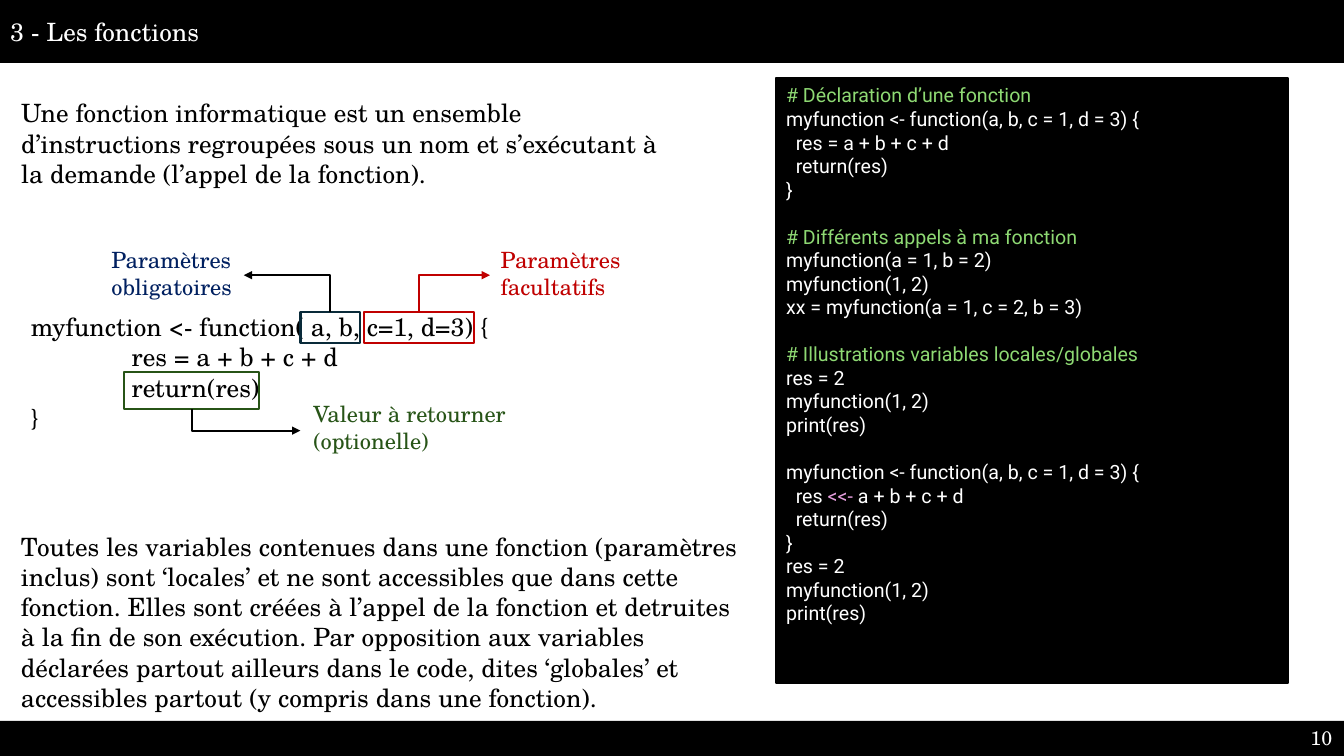
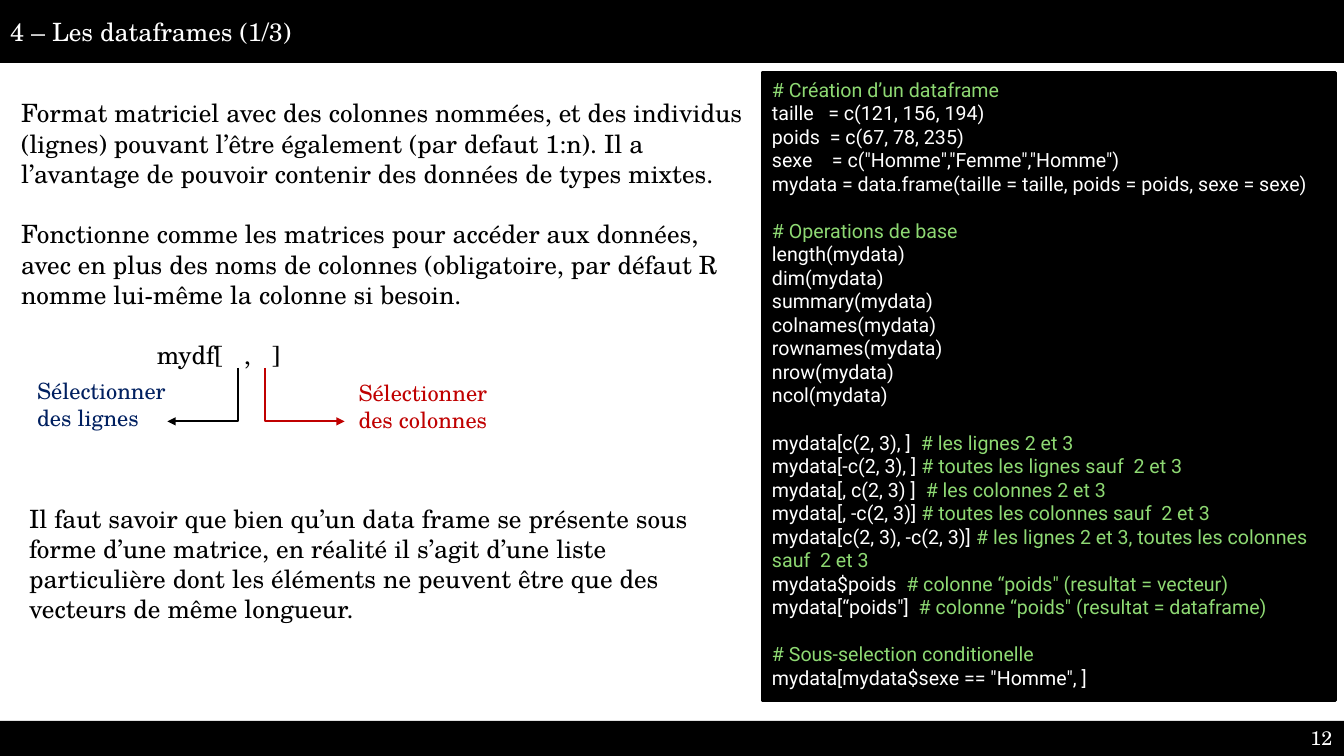
from dataclasses import dataclass

from pptx import Presentation
from pptx.dml.color import RGBColor
from pptx.enum import shapes, text
from pptx.oxml import ns
from pptx.util import Pt
from lxml import etree

COLORS = {
    "black": "000000",
    "white": "FFFFFF",
    "comment": "8ED973",
    "operator": "E59EDD",
    "navy": "002060",
    "red": "C00000",
    "green": "275417",
    "teal": "092A39",
}
SERIF, SANS = "TeX Gyre Schola", "Roboto"
WIDTH, HEIGHT = 960, 540
TITLE_HEIGHT, FOOTER_HEIGHT = 45, 25
BODY_SIZE, NOTE_SIZE, CODE_SIZE = 18, 16, 14
BODY_GAP, CODE_GAP = 21.6, 16.8
LINE_WIDTH = 1.5


@dataclass(frozen=True)
class Box:
    left: float
    top: float
    width: float
    height: float

    def lengths(self) -> tuple[Pt, ...]:
        return Pt(self.left), Pt(self.top), Pt(self.width), Pt(self.height)


@dataclass(frozen=True)
class Span:
    text: str
    color: str


@dataclass(frozen=True)
class Para:
    text: str
    indent: float = 0
    before: float = 0


@dataclass(frozen=True)
class Note:
    text: str
    color: str
    box: Box


@dataclass(frozen=True)
class Frame:
    color: str
    box: Box


@dataclass(frozen=True)
class Arrow:
    color: str
    start: tuple[float, float]
    end: tuple[float, float]


@dataclass(frozen=True)
class Lesson:
    title: str
    number: str
    body: list[Para]
    body_box: Box
    code: list[str]
    code_box: Box
    texts: list[tuple[Box, list[Para]]]
    notes: list[Note]
    arrows: list[Arrow]
    frames: list[Frame]


def rgb(color: str) -> RGBColor:
    return RGBColor.from_string(COLORS[color])


def code_spans(line: str, color: str) -> list[Span]:
    """Colour the comment and the global assignment in a line of code."""
    code, mark, comment = line.partition("#")
    before, operator, after = code.partition("<<-")
    spans = [Span(before, color), Span(operator, "operator"), Span(after, color),
             Span(mark + comment, "comment")]
    return [span for span in spans if span.text]


def write(frame, paras: list[Para], *, size: float = BODY_SIZE, font: str = SERIF,
          color: str = "black", anchor=text.MSO_ANCHOR.TOP, is_code: bool = False) -> None:
    frame.word_wrap = True
    frame.auto_size = text.MSO_AUTO_SIZE.NONE
    frame.vertical_anchor = anchor
    for index, para in enumerate(paras):
        line = frame.add_paragraph() if index else frame.paragraphs[0]
        line.alignment = text.PP_ALIGN.LEFT
        line.space_before = Pt(para.before)
        properties = line._p.get_or_add_pPr()
        properties.set("marL", str(Pt(para.indent)))
        properties.set("indent", "0")
        etree.SubElement(properties, ns.qn("a:buNone"))
        spans = code_spans(para.text, color) if is_code else [Span(para.text, color)]
        for span in spans:
            run = line.add_run()
            run.text = span.text
            run.font.size = Pt(size)
            run.font.name = font
            run.font.color.rgb = rgb(span.color)


def add_text(page, box: Box, paras: list[Para], **style):
    shape = page.shapes.add_textbox(*box.lengths())
    write(shape.text_frame, paras, **style)
    return shape


def add_rectangle(page, box: Box, *, fill: str | None = None, line: str | None = None):
    shape = page.shapes.add_shape(shapes.MSO_SHAPE.RECTANGLE, *box.lengths())
    shape.shadow.inherit = False
    if fill:
        shape.fill.solid()
        shape.fill.fore_color.rgb = rgb(fill)
    else:
        shape.fill.background()
    if line:
        shape.line.color.rgb = rgb(line)
        shape.line.width = Pt(LINE_WIDTH)
    else:
        shape.line.fill.background()
    return shape


def add_arrow(page, arrow: Arrow) -> None:
    """Draw an elbow that runs vertically first, then horizontally to its head."""
    points = [Pt(value) for value in (*arrow.start, *arrow.end)]
    connector = page.shapes.add_connector(shapes.MSO_CONNECTOR.ELBOW, *points)
    connector.line.color.rgb = rgb(arrow.color)
    connector.line.width = Pt(LINE_WIDTH)
    properties = connector._element.spPr
    adjustments = properties.find(ns.qn("a:prstGeom")).get_or_add_avLst()
    etree.SubElement(adjustments, ns.qn("a:gd"), name="adj1", fmla="val 0")
    etree.SubElement(properties.find(ns.qn("a:ln")), ns.qn("a:tailEnd"), type="triangle")
    etree.SubElement(properties, ns.qn("a:effectLst"))


def place(placeholder, box: Box) -> None:
    placeholder.left, placeholder.top, placeholder.width, placeholder.height = box.lengths()


def add_bands(page, title: str, number: str) -> None:
    heading = page.shapes.title
    place(heading, Box(0, 0, WIDTH, TITLE_HEIGHT))
    heading.fill.solid()
    heading.fill.fore_color.rgb = rgb("black")
    write(heading.text_frame, [Para(title)], color="white", anchor=text.MSO_ANCHOR.MIDDLE)
    footer_top = HEIGHT - FOOTER_HEIGHT
    add_rectangle(page, Box(0, footer_top, WIDTH, FOOTER_HEIGHT), fill="black")
    label = add_text(page, Box(929, footer_top, 31, FOOTER_HEIGHT), [Para(number)],
                     size=14, color="white")
    label.text_frame.margin_right = 0


def code_paras(blocks: list[str]) -> list[Para]:
    return [Para(line, before=CODE_GAP if block_index and not line_index else 0)
            for block_index, block in enumerate(blocks)
            for line_index, line in enumerate(block.strip("\n").split("\n"))]


def add_lesson(deck, lesson: Lesson) -> None:
    page = deck.slides.add_slide(deck.slide_layouts[1])
    add_bands(page, lesson.title, lesson.number)
    body = page.placeholders[1]
    place(body, lesson.body_box)
    write(body.text_frame, lesson.body)
    console = add_rectangle(page, lesson.code_box, fill="black", line="black")
    write(console.text_frame, code_paras(lesson.code), size=CODE_SIZE, font=SANS,
          color="white", is_code=True)
    for box, paras in lesson.texts:
        add_text(page, box, paras)
    for frame in lesson.frames:
        add_rectangle(page, frame.box, line=frame.color)
    for arrow in lesson.arrows:
        add_arrow(page, arrow)
    for note in lesson.notes:
        add_text(page, note.box, [Para(note.text)], size=NOTE_SIZE, color=note.color)


FUNCTIONS = Lesson(
    title="3 - Les fonctions",
    number="10",
    body=[Para("Une fonction informatique est un ensemble d’instructions regroupées sous un nom "
               "et s’exécutant à la demande (l’appel de la fonction).")],
    body_box=Box(7.9, 66.2, 472.3, 73),
    code=["""
# Déclaration d’une fonction
myfunction <- function(a, b, c = 1, d = 3) {
  res = a + b + c + d
  return(res)
}
""", """
# Différents appels à ma fonction
myfunction(a = 1, b = 2)
myfunction(1, 2)
xx = myfunction(a = 1, c = 2, b = 3)
""", """
# Illustrations variables locales/globales
res = 2
myfunction(1, 2)
print(res)
""", """
myfunction <- function(a, b, c = 1, d = 3) {
  res <<- a + b + c + d
  return(res)
}
res = 2
myfunction(1, 2)
print(res)
"""],
    code_box=Box(554.4, 56, 365.8, 432),
    texts=[
        (Box(15, 219, 500, 94), [
            Para("myfunction <- function( a, b, c=1, d=3) {"),
            Para("res = a + b + c + d", indent=72),
            Para("return(res)", indent=72),
            Para("}")]),
        (Box(7.9, 375.8, 531.4, 138), [
            Para("Toutes les variables contenues dans une fonction (paramètres inclus) sont "
                 "‘locales’ et ne sont accessibles que dans cette fonction. Elles sont créées à "
                 "l’appel de la fonction et detruites à la fin de son exécution. Par opposition "
                 "aux variables déclarées partout ailleurs dans le code, dites ‘globales’ et "
                 "accessibles partout (y compris dans une fonction).")]),
    ],
    notes=[
        Note("Paramètres obligatoires", "navy", Box(72.5, 172, 113, 46)),
        Note("Paramètres facultatifs", "red", Box(350.6, 172, 107.3, 46)),
        Note("Valeur à retourner (optionelle)", "green", Box(216.7, 282.2, 181.4, 46)),
    ],
    arrows=[
        Arrow("black", (236, 223.2), (174.2, 196.6)),
        Arrow("red", (299.5, 223.2), (350, 196.6)),
        Arrow("black", (137, 292.3), (214.6, 307.6)),
    ],
    frames=[
        Frame("teal", Box(214.6, 223.2, 42.5, 21.6)),
        Frame("red", Box(260, 223.2, 78.5, 21.6)),
        Frame("green", Box(88.6, 265.7, 96.5, 26.6)),
    ],
)

DATAFRAMES = Lesson(
    title="4 – Les dataframes (1/3)",
    number="12",
    body=[
        Para("Format matriciel avec des colonnes nommées, et des individus (lignes) pouvant "
             "l’être également (par defaut 1:n). Il a l’avantage de pouvoir contenir des "
             "données de types mixtes."),
        Para("Fonctionne comme les matrices pour accéder aux données, avec en plus des noms de "
             "colonnes (obligatoire, par défaut R nomme lui-même la colonne si besoin.",
             before=BODY_GAP),
        Para("mydf[   ,   ]", indent=97, before=BODY_GAP),
    ],
    body_box=Box(7.9, 66.2, 533.5, 225),
    code=["""
# Création d’un dataframe
taille   = c(121, 156, 194)
poids  = c(67, 78, 235)
sexe    = c("Homme","Femme","Homme")
mydata = data.frame(taille = taille, poids = poids, sexe = sexe)
""", """
# Operations de base
length(mydata)
dim(mydata)
summary(mydata)
colnames(mydata)
rownames(mydata)
nrow(mydata)
ncol(mydata)
""", """
mydata[c(2, 3), ]  # les lignes 2 et 3
mydata[-c(2, 3), ] # toutes les lignes sauf  2 et 3
mydata[, c(2, 3) ]  # les colonnes 2 et 3
mydata[, -c(2, 3)] # toutes les colonnes sauf  2 et 3
mydata[c(2, 3), -c(2, 3)] # les lignes 2 et 3, toutes les colonnes sauf  2 et 3
mydata$poids  # colonne “poids" (resultat = vecteur)
mydata[“poids"]  # colonne “poids" (resultat = dataframe)
""", """
# Sous-selection conditionelle
mydata[mydata$sexe == "Homme", ]
"""],
    code_box=Box(544.3, 51.8, 409.7, 448.6),
    texts=[(Box(13.7, 355.7, 517, 94), [
        Para("Il faut savoir que bien qu’un data frame se présente sous forme d’une matrice, en "
             "réalité il s’agit d’une liste particulière dont les éléments ne peuvent être que "
             "des vecteurs de même longueur.")])],
    notes=[
        Note("Sélectionner des colonnes", "red", Box(249, 267, 107.3, 46)),
        Note("Sélectionner des lignes", "navy", Box(19.4, 265.7, 107.3, 46)),
    ],
    arrows=[
        Arrow("black", (170, 262.8), (119.5, 301)),
        Arrow("red", (189.5, 262.8), (246.2, 301)),
    ],
    frames=[],
)


def main() -> None:
    deck = Presentation()
    deck.slide_width, deck.slide_height = Pt(WIDTH), Pt(HEIGHT)
    for lesson in (FUNCTIONS, DATAFRAMES):
        add_lesson(deck, lesson)
    deck.save("out.pptx")


if __name__ == "__main__":
    main()
